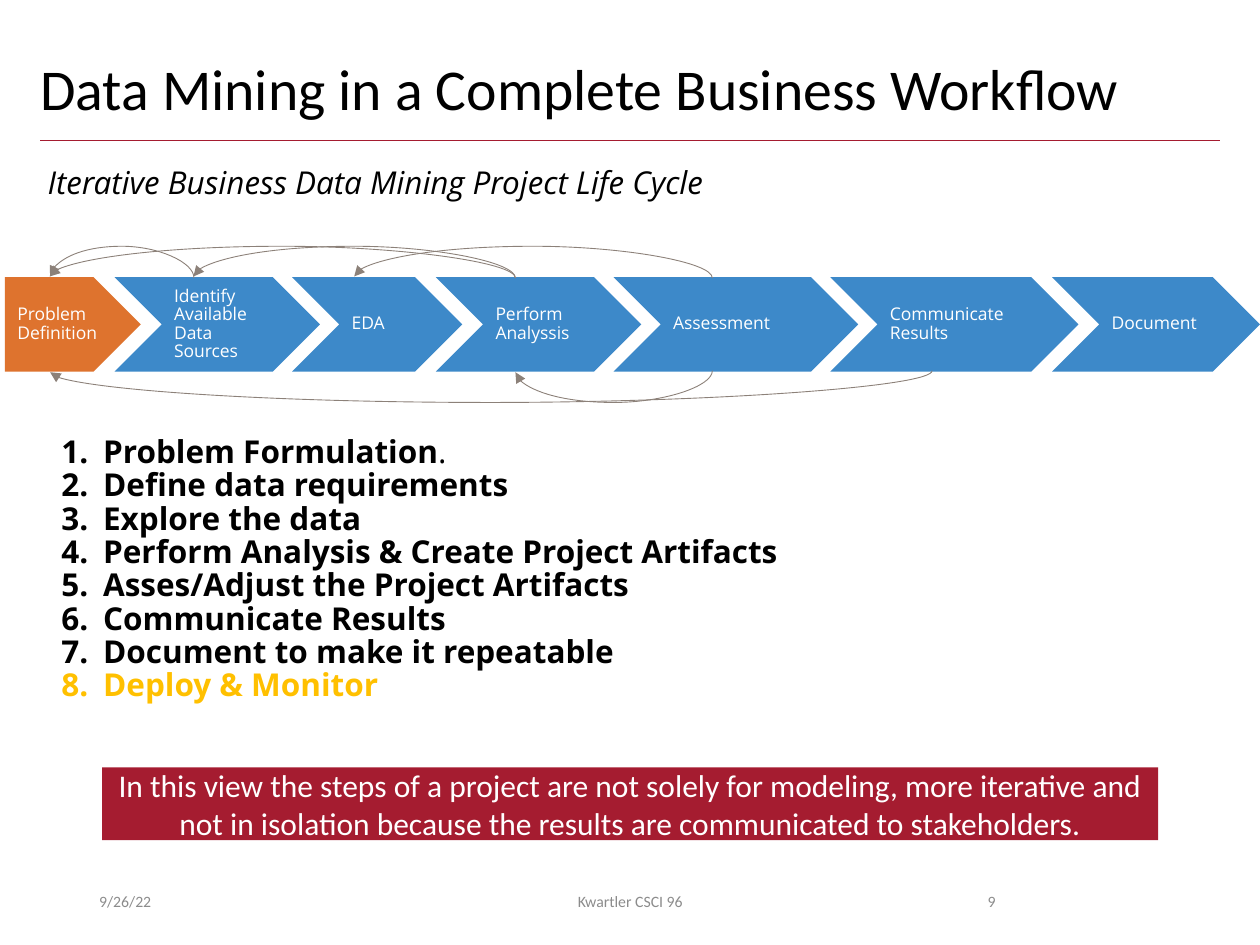
import dataclasses

import pptx
import pptx.dml.color
import pptx.enum.shapes
import pptx.enum.text
import pptx.oxml
import pptx.oxml.ns
import pptx.util

Cm = pptx.util.Cm
Pt = pptx.util.Pt
Shape = pptx.enum.shapes.MSO_SHAPE
Link = pptx.enum.shapes.MSO_CONNECTOR
Align = pptx.enum.text.PP_ALIGN
Anchor = pptx.enum.text.MSO_ANCHOR
qn = pptx.oxml.ns.qn


@dataclasses.dataclass(frozen=True)
class Theme:
    black: str = "000000"
    white: str = "FFFFFF"
    red: str = "A51C30"
    blue: str = "3D89C9"
    orange: str = "DE732E"
    gold: str = "FFC000"
    gray: str = "8C8C8C"
    taupe: str = "8C8179"
    plain: str = "Calibri"
    sans: str = "Open Sans"
    title: float = 33
    body: float = 18
    step: float = 10
    foot: float = 9
    hair: float = 0.5
    tight: float = 0.88


THEME = Theme()
INSET = 0.25
ROW_TOP, ROW_HIGH = 5.59, 1.9

STEPS = [
    ("Problem Definition", 0.1, 2.74),
    ("Identify Available Data Sources", 2.31, 4.14),
    ("EDA", 5.89, 3.43),
    ("Perform Analyssis", 8.79, 4.14),
    ("Assessment", 12.37, 4.93),
    ("Communicate Results", 16.74, 5.0),
    ("Document", 21.21, 4.19),
]
BACK_TOP = [(3.91, 1.01), (10.39, 3.9), (10.39, 1.0), (14.36, 7.14)]
BACK_LOW = [(18.79, 1.01), (14.36, 10.39)]
TASKS = [
    "Problem Formulation",
    "Define data requirements",
    "Explore the data",
    "Perform Analysis & Create Project Artifacts",
    "Asses/Adjust the Project Artifacts",
    "Communicate Results",
    "Document to make it repeatable",
    "Deploy & Monitor",
]


def color(code):
    return pptx.dml.color.RGBColor.from_string(code)


def add_run(para, text, size, face, shade, bold=False, slant=False):
    run = para.add_run()
    run.text = text
    font = run.font
    font.size, font.name = Pt(size), face
    font.bold, font.italic = bold, slant
    font.color.rgb = color(shade)


def set_frame(shape, anchor=Anchor.MIDDLE, side=INSET, edge=0.13):
    frame = shape.text_frame
    frame.word_wrap = True
    frame.auto_size = pptx.enum.text.MSO_AUTO_SIZE.NONE
    frame.vertical_anchor = anchor
    frame.margin_left = frame.margin_right = Cm(side)
    frame.margin_top = frame.margin_bottom = Cm(edge)
    return frame


def set_para(para, align=Align.LEFT, space=1.0):
    para.alignment = align
    para.line_spacing = space
    return para


def add_box(slide, left, top, width, height):
    return slide.shapes.add_textbox(Cm(left), Cm(top), Cm(width), Cm(height))


def add_block(slide, kind, left, top, width, height, fill):
    block = slide.shapes.add_shape(kind, Cm(left), Cm(top), Cm(width), Cm(height))
    block.shadow.inherit = False
    block.fill.solid()
    block.fill.fore_color.rgb = color(fill)
    block.line.fill.background()
    return block


def add_line(slide, kind, x1, y1, x2, y2, shade):
    line = slide.shapes.add_connector(kind, Cm(x1), Cm(y1), Cm(x2), Cm(y2))
    line.line.color.rgb = color(shade)
    line.line.width = Pt(THEME.hair)
    pptx.oxml.ns
    line.element.spPr.append(pptx.oxml.parse_xml(
        '<a:effectLst %s/>' % pptx.oxml.ns.nsdecls("a")))
    return line


def add_loop(slide, start, end, above):
    thin, bulge = 0.03, 0.64
    span = start - end
    mid_x = (start + end) / 2
    mid_y = ROW_TOP if above else ROW_TOP + ROW_HIGH
    line = add_line(slide, Link.CURVE, mid_x - thin / 2, mid_y - span / 2,
                    mid_x + thin / 2, mid_y + span / 2, THEME.taupe)
    props = line.element.spPr
    frame = props.find(qn("a:xfrm"))
    frame.set("rot", str((270 if above else 90) * 60000))
    if above:
        frame.set("flipV", "1")
    guides = props.find(qn("a:prstGeom")).get_or_add_avLst()
    guide = guides.makeelement(qn("a:gd"), {
        "name": "adj1", "fmla": "val %d" % round(bulge / thin * 100000)})
    guides.append(guide)
    stroke = props.find(qn("a:ln"))
    stroke.append(stroke.makeelement(qn("a:tailEnd"), {"type": "triangle"}))


def add_title(slide, text):
    title = slide.shapes.title
    title.left, title.top = Cm(0.56), Cm(1.02)
    title.width, title.height = Cm(23.09), Cm(1.65)
    para = set_para(set_frame(title).paragraphs[0], space=0.9)
    add_run(para, text, THEME.title, THEME.plain, THEME.black)
    add_line(slide, Link.STRAIGHT, 0.81, 2.84, 24.59, 2.84, THEME.red)


def add_lead(slide, text):
    box = add_box(slide, 0.71, 3.25, 23.67, 0.89)
    para = set_para(set_frame(box, Anchor.TOP).paragraphs[0], space=0.9)
    para.space_before = Pt(4.4)
    add_run(para, text, THEME.body, THEME.sans, THEME.black, slant=True)


def add_steps(slide):
    for spot, (text, left, width) in enumerate(STEPS):
        kind = Shape.CHEVRON if spot else Shape.PENTAGON
        fill = THEME.blue if spot else THEME.orange
        block = add_block(slide, kind, left, ROW_TOP, width, ROW_HIGH, fill)
        frame = set_frame(block, edge=INSET)
        para = set_para(frame.paragraphs[0], space=THEME.tight)
        add_run(para, text, THEME.step, THEME.sans, THEME.white)


def add_tasks(slide):
    frame = set_frame(add_box(slide, 0.56, 8.56, 23.47, 6.76), Anchor.TOP, edge=INSET)
    for spot, text in enumerate(TASKS):
        para = frame.add_paragraph() if spot else frame.paragraphs[0]
        set_para(para, space=THEME.tight)
        props = para._p.get_or_add_pPr()
        props.set("marL", str(Cm(1.27)))
        props.set("indent", str(Cm(-0.84)))
        props.append(props.makeelement(qn("a:buAutoNum"), {"type": "arabicPeriod"}))
        shade = THEME.gold if text == TASKS[-1] else THEME.black
        add_run(para, text, THEME.body, THEME.sans, shade, bold=True)
        if spot == 0:
            add_run(para, ".", THEME.body, THEME.sans, shade)


def add_note(slide, text):
    block = add_block(slide, Shape.RECTANGLE, 2.06, 15.47, 21.29, 1.47, THEME.red)
    para = set_para(set_frame(block).paragraphs[0], Align.CENTER)
    add_run(para, text, THEME.body, THEME.plain, THEME.white)


def add_foot(slide, text, left, width, align):
    frame = set_frame(add_box(slide, left, 17.65, width, 1.02))
    para = set_para(frame.paragraphs[0], align)
    add_run(para, text, THEME.foot, THEME.plain, THEME.gray)


def main():
    deck = pptx.Presentation()
    deck.slide_width, deck.slide_height = Cm(25.4), Cm(19.05)
    slide = deck.slides.add_slide(deck.slide_layouts[5])
    add_title(slide, "Data Mining in a Complete Business Workflow")
    add_lead(slide, "Iterative Business Data Mining Project Life Cycle")
    add_tasks(slide)
    add_steps(slide)
    for loops, above in ((BACK_TOP, True), (BACK_LOW, False)):
        for start, end in loops:
            add_loop(slide, start, end, above)
    add_note(slide, "In this view the steps of a project are not solely for modeling, "
                    "more iterative and not in isolation because the results are "
                    "communicated to stakeholders.")
    add_foot(slide, "9/26/22", 1.75, 5.72, Align.LEFT)
    add_foot(slide, "Kwartler CSCI 96", 8.41, 8.59, Align.CENTER)
    add_foot(slide, "9", 17.93, 2.39, Align.RIGHT)
    deck.save("out.pptx")


if __name__ == "__main__":
    main()
